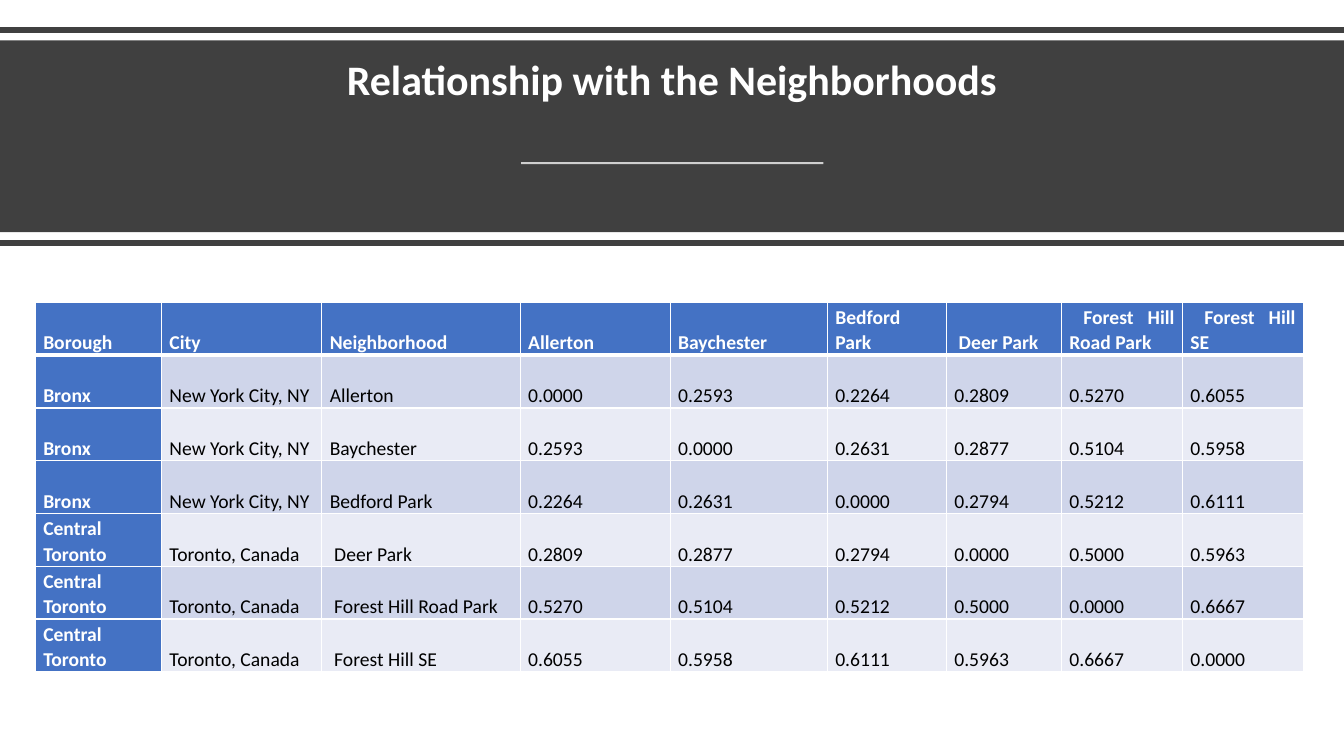
from lxml.etree import SubElement
from pptx import Presentation
from pptx.dml.color import RGBColor as RGB
from pptx.enum.shapes import MSO_CONNECTOR as CONN, MSO_SHAPE as SHAPE
from pptx.enum.text import MSO_ANCHOR as ANCHOR, PP_ALIGN as ALIGN
from pptx.oxml.ns import qn
from pptx.util import Cm, Pt

COLORS = {
    "dark": "404040",
    "white": "FFFFFF",
    "black": "000000",
    "header": "4472C4",
    "odd": "CFD5EA",
    "even": "E9EBF5",
}
FONT = "Calibri"
WIDTH, HEIGHT = 33.87, 19.05
COL_WIDTHS = [3.18, 4.04, 5.0, 3.78, 3.96, 3.0, 2.9, 3.05, 3.05]
ROW_HEIGHT = 1.33

NEIGHBORHOODS = ["Allerton", "Baychester", "Bedford Park",
                 " Deer Park", " Forest Hill Road Park", " Forest Hill SE"]
PLACES = [("Bronx", "New York City, NY")] * 3 + [("Central Toronto", "Toronto, Canada")] * 3
DISTANCES = [
    [0, 0.2593, 0.2264, 0.2809, 0.5270, 0.6055],
    [0.2593, 0, 0.2631, 0.2877, 0.5104, 0.5958],
    [0.2264, 0.2631, 0, 0.2794, 0.5212, 0.6111],
    [0.2809, 0.2877, 0.2794, 0, 0.5000, 0.5963],
    [0.5270, 0.5104, 0.5212, 0.5000, 0, 0.6667],
    [0.6055, 0.5958, 0.6111, 0.5963, 0.6667, 0],
]


def color(name):
    return RGB.from_string(COLORS[name])


def add_run(p, text, size, name, bold):
    r = p.add_run()
    r.text = text
    r.font.name = FONT
    r.font.size = Pt(size)
    r.font.bold = bold
    r.font.color.rgb = color(name)


def add_rule(s, x1, x2, y, name, weight, opacity=100):
    line = s.shapes.add_connector(CONN.STRAIGHT, Cm(x1), Cm(y), Cm(x2), Cm(y))
    line.line.color.rgb = color(name)
    line.line.width = Pt(weight)
    sp_pr = line.element.spPr
    if opacity < 100:
        clr = sp_pr.find(".//" + qn("a:srgbClr"))
        SubElement(clr, qn("a:alpha"), val=str(opacity * 1000))
    SubElement(sp_pr, qn("a:effectLst"))


def add_band(s, y, height):
    sp = s.shapes.add_shape(SHAPE.RECTANGLE, 0, Cm(y), Cm(WIDTH), Cm(height))
    sp.shadow.inherit = False
    sp.fill.solid()
    sp.fill.fore_color.rgb = color("dark")
    sp.line.fill.background()


def set_title(s, text):
    title = s.shapes.title
    title.left, title.top = Cm(1.47), Cm(1.37)
    title.width, title.height = Cm(30.94), Cm(2.59)
    s.shapes.element.append(title.element)
    tf = title.text_frame
    tf.word_wrap = True
    tf.vertical_anchor = ANCHOR.TOP
    p = tf.paragraphs[0]
    p.alignment = ALIGN.CENTER
    p.line_spacing = 0.9
    add_run(p, text, 30, "white", True)


def set_borders(cell, top, bottom):
    tc_pr = cell._tc.get_or_add_tcPr()
    for side, weight in (("L", 1), ("R", 1), ("T", top), ("B", bottom)):
        ln = SubElement(tc_pr, qn("a:ln" + side), w=str(Pt(weight)))
        fill = SubElement(ln, qn("a:solidFill"))
        SubElement(fill, qn("a:srgbClr"), val=COLORS["white"])


def fill_cell(cell, text, row, col):
    heading = row == 0 or col == 0
    set_borders(cell, 3 if row == 1 else 1, 3 if row == 0 else 1)
    cell.fill.solid()
    cell.fill.fore_color.rgb = color("header" if heading else "odd" if row % 2 else "even")
    cell.margin_left = cell.margin_right = Cm(0.2)
    cell.margin_top = cell.margin_bottom = 0
    cell.vertical_anchor = ANCHOR.BOTTOM
    p = cell.text_frame.paragraphs[0]
    p.alignment = ALIGN.JUSTIFY
    p.line_spacing = 1.07
    add_run(p, text, 14, "white" if heading else "black", heading)


def add_distance_table(s, x, y):
    rows = [["Borough", "City", "Neighborhood", *NEIGHBORHOODS]]
    for place, name, values in zip(PLACES, NEIGHBORHOODS, DISTANCES):
        rows.append([*place, name, *(f"{v:.4f}" for v in values)])
    table = s.shapes.add_table(len(rows), len(COL_WIDTHS), Cm(x), Cm(y),
                               Cm(sum(COL_WIDTHS)), Cm(ROW_HEIGHT * len(rows))).table
    table.horz_banding = False
    for column, width in zip(table.columns, COL_WIDTHS):
        column.width = Cm(width)
    for i, texts in enumerate(rows):
        table.rows[i].height = Cm(ROW_HEIGHT)
        for j, text in enumerate(texts):
            fill_cell(table.cell(i, j), text, i, j)


def main():
    prs = Presentation()
    prs.slide_width, prs.slide_height = Cm(WIDTH), Cm(HEIGHT)
    s = prs.slides.add_slide(prs.slide_layouts[5])
    add_rule(s, 0, WIDTH, 0.76, "dark", 4)
    add_band(s, 1.02, 4.83)
    set_title(s, "Relationship with the Neighborhoods")
    add_rule(s, 13.13, 20.75, 4.11, "white", 1.5, opacity=75)
    add_rule(s, 0, WIDTH, 6.12, "dark", 4)
    add_distance_table(s, 0.89, 7.62)
    prs.save("out.pptx")


main()
